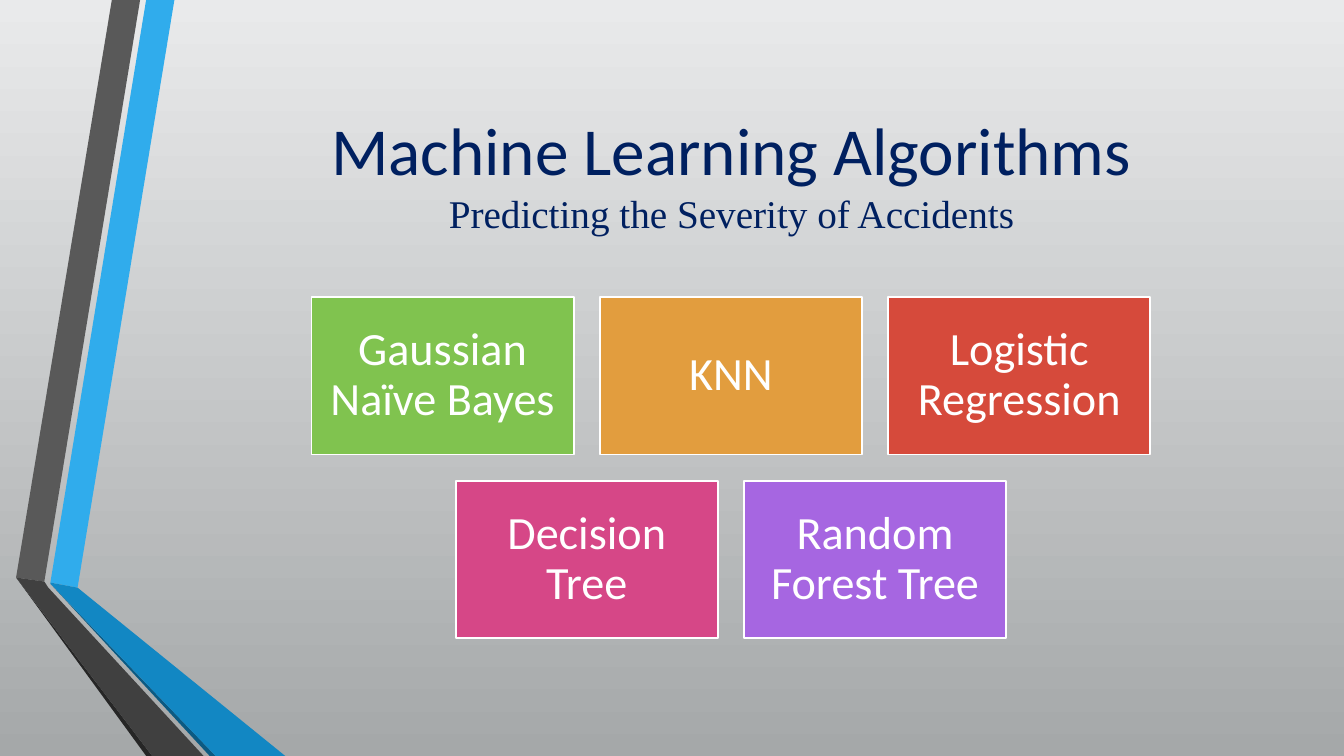
from dataclasses import dataclass

from lxml import etree
from pptx import Presentation
from pptx.dml.color import RGBColor
from pptx.enum.shapes import MSO_SHAPE
from pptx.enum.text import MSO_ANCHOR, PP_ALIGN
from pptx.util import Inches, Pt

RECTANGLE = MSO_SHAPE.RECTANGLE
MIDDLE = MSO_ANCHOR.MIDDLE
CENTER = PP_ALIGN.CENTER
TITLE_ONLY = 5


@dataclass(frozen=True)
class Theme:
    background: tuple = ("E9EAEB", "A5A8A9")
    navy: str = "002060"
    white: str = "FFFFFF"
    heading_font: str = "Calibri"
    subtitle_font: str = "Times New Roman"
    title_size: int = 48
    subtitle_size: int = 28
    card_size: int = 33


def write_span(para, text, *, size, font, color):
    span = para.add_run()
    span.text = text
    span.font.size = Pt(size)
    span.font.name = font
    span.font.color.rgb = RGBColor.from_string(color)


class SlideBuilder:
    def __init__(self, slide, theme):
        self.slide = slide
        self.theme = theme

    def background(self):
        fill = self.slide.background.fill
        fill.gradient()
        fill.gradient_angle = 270
        for stop, color, position in zip(fill.gradient_stops, self.theme.background, (0, 1)):
            stop.color.rgb = RGBColor.from_string(color)
            stop.position = position

    def ribbon(self, color, points):
        corners = [(Inches(x), Inches(y)) for x, y in points]
        builder = self.slide.shapes.build_freeform(*corners[0])
        builder.add_line_segments(corners[1:], close=True)
        shape = builder.convert_to_shape()
        shape.shadow.inherit = False
        shape.fill.solid()
        shape.fill.fore_color.rgb = RGBColor.from_string(color)
        shape.line.fill.background()

    def title(self, heading, subtitle, left, top, width, height):
        theme = self.theme
        box = self.slide.shapes.title
        box.left, box.top = Inches(left), Inches(top)
        box.width, box.height = Inches(width), Inches(height)
        box.text_frame.word_wrap = True
        box.text_frame.vertical_anchor = MIDDLE
        para = box.text_frame.paragraphs[0]
        para.alignment = CENTER
        write_span(para, heading, size=theme.title_size,
                   font=theme.heading_font, color=theme.navy)
        para.add_line_break()
        write_span(para, subtitle, size=theme.subtitle_size,
                   font=theme.subtitle_font, color=theme.navy)

    def card(self, text, color, left, top, width, height):
        theme = self.theme
        box = self.slide.shapes.add_shape(
            RECTANGLE, Inches(left), Inches(top), Inches(width), Inches(height))
        box.shadow.inherit = False
        box.fill.solid()
        box.fill.fore_color.rgb = RGBColor.from_string(color)
        box.line.color.rgb = RGBColor.from_string(theme.white)
        box.line.width = Pt(1.25)
        frame = box.text_frame
        frame.word_wrap = True
        frame.vertical_anchor = MIDDLE
        frame.margin_left = frame.margin_right = Inches(0.14)
        frame.margin_top = frame.margin_bottom = Inches(0.14)
        para = frame.paragraphs[0]
        para.alignment = CENTER
        para.line_spacing = 0.9
        write_span(para, text, size=theme.card_size,
                   font=theme.heading_font, color=theme.white)


# Folded ribbons on the left edge, back to front
RIBBONS = [
    ("30ACEC", [(0.5, 5.78), (0.77, 5.83), (1.73, 0), (1.45, 0)]),
    ("595959", [(1.39, 0), (1.11, 0), (0.16, 5.73), (0.44, 5.77)]),
    ("262626", [(0.16, 5.73), (1.45, 7.5), (1.51, 7.5)]),
    ("0C5A82", [(0.5, 5.79), (2.08, 7.5), (2.14, 7.5)]),
    ("1287C3", [(0.5, 5.78), (0.5, 5.79), (2.14, 7.5), (2.83, 7.5), (0.77, 5.83)]),
    ("404040", [(2.02, 7.5), (0.48, 5.83), (0.44, 5.77), (0.16, 5.73), (1.51, 7.5)]),
]

# Algorithm cards, one list per centred row
CARD_ROWS = [
    [("Gaussian Naïve Bayes", "80C34F"), ("KNN", "E29D3E"),
     ("Logistic Regression", "D64A3B")],
    [("Decision Tree", "D64787"), ("Random Forest Tree", "A666E1")],
]
CARD_WIDTH, CARD_HEIGHT, CARD_GAP = 2.6, 1.56, 0.26
CARDS_CENTER, CARDS_TOP = 7.25, 2.95


def main():
    deck = Presentation()
    deck.slide_width, deck.slide_height = Inches(13.33), Inches(7.5)
    page = SlideBuilder(deck.slides.add_slide(deck.slide_layouts[TITLE_ONLY]), Theme())

    page.background()
    for color, points in RIBBONS:
        page.ribbon(color, points)

    page.title("Machine Learning Algorithms", "Predicting the Severity of Accidents",
               1.93, 0.75, 10.65, 1.92)

    for row, cards in enumerate(CARD_ROWS):
        row_width = len(cards) * (CARD_WIDTH + CARD_GAP) - CARD_GAP
        top = CARDS_TOP + row * (CARD_HEIGHT + CARD_GAP)
        for column, (text, color) in enumerate(cards):
            left = CARDS_CENTER - row_width / 2 + column * (CARD_WIDTH + CARD_GAP)
            page.card(text, color, left, top, CARD_WIDTH, CARD_HEIGHT)

    deck.save("out.pptx")


if __name__ == "__main__":
    main()
